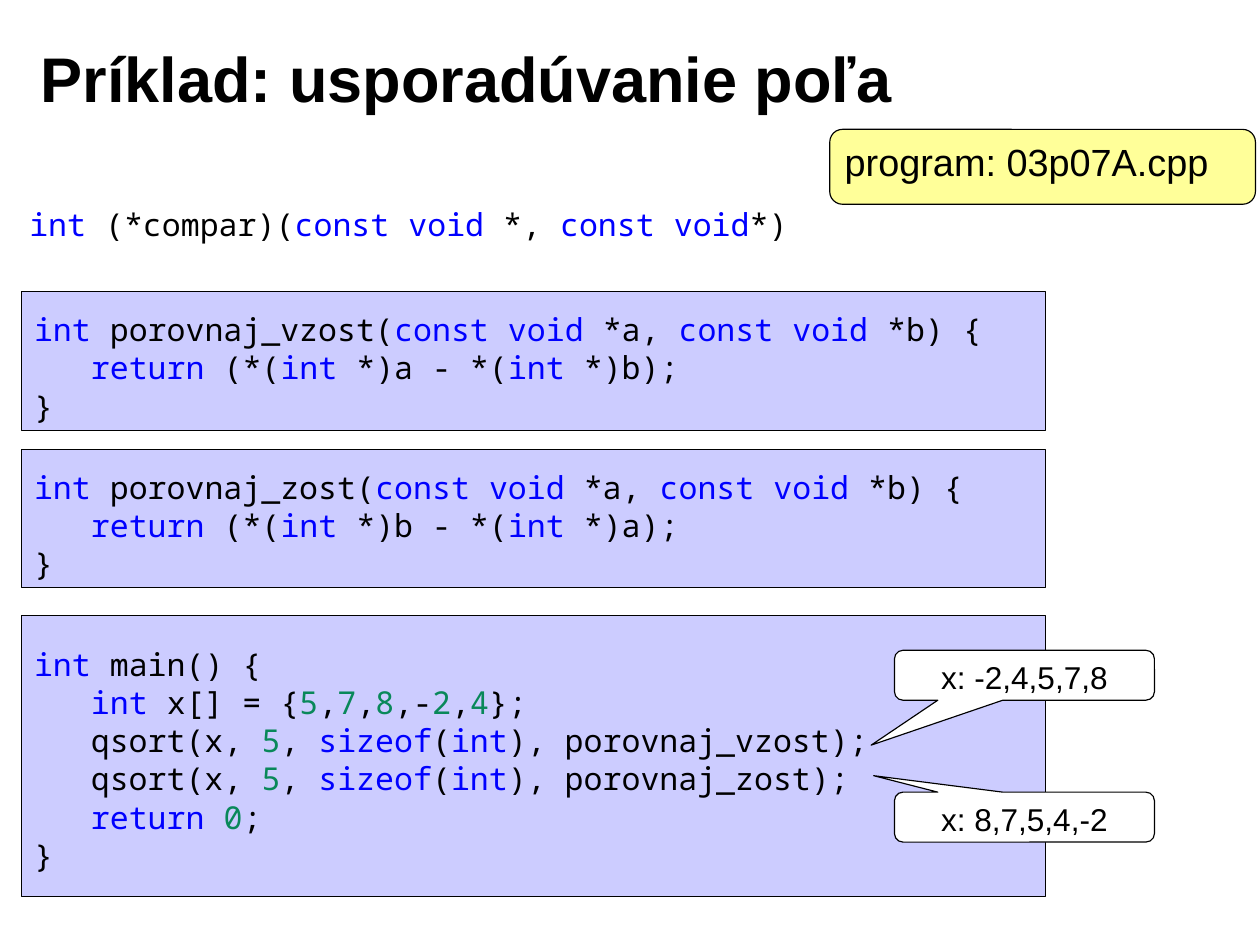
"""Build the slide on sorting an array with qsort and comparison functions."""
from itertools import groupby

from pptx import Presentation
from pptx.dml.color import RGBColor
from pptx.enum.shapes import MSO_SHAPE
from pptx.enum.text import MSO_ANCHOR, PP_ALIGN
from pptx.util import Inches, Pt

BLACK = RGBColor(0x00, 0x00, 0x00)
WHITE = RGBColor(0xFF, 0xFF, 0xFF)
BLUE = RGBColor(0x00, 0x00, 0xFF)
GREEN = RGBColor(0x09, 0x88, 0x5A)
LAVENDER = RGBColor(0xCC, 0xCC, 0xFF)
YELLOW = RGBColor(0xFF, 0xFF, 0x99)
KEYWORDS = {"int", "const", "void", "return", "sizeof"}

prs = Presentation()
prs.slide_width, prs.slide_height = Inches(11.1), Inches(8.3)
s = prs.slides.add_slide(prs.slide_layouts[6])


def add_box(kind, box, fill, adjustments=()):
    sp = s.shapes.add_shape(kind, *map(Inches, box))
    sp.shadow.inherit = False
    sp.fill.solid()
    sp.fill.fore_color.rgb = fill
    sp.line.color.rgb = BLACK
    sp.line.width = Pt(0.75)
    for i, value in enumerate(adjustments):
        sp.adjustments[i] = value
    return sp


def add_text(sp, text, size, font="Arial", align=PP_ALIGN.LEFT, bold=False,
             anchor=MSO_ANCHOR.TOP, inset=(0.1, 0.05), spacing=None):
    tf = sp.text_frame
    x, y = map(Inches, inset)
    frame = {"word_wrap": True, "vertical_anchor": anchor, "margin_left": x,
             "margin_right": x, "margin_top": y, "margin_bottom": y}
    for name, value in frame.items():
        setattr(tf, name, value)
    for i, line in enumerate(text.split("\n")):
        p = tf.add_paragraph() if i else tf.paragraphs[0]
        p.alignment = align
        p.line_spacing = spacing
        words = [line]
        if font != "Arial":
            words = ["".join(g) for _, g in
                     groupby(line, lambda c: c.isalnum() or c == "_")]
        for word in words:
            r = p.add_run()
            r.text = word
            for name, value in {"name": font, "size": Pt(size), "bold": bold}.items():
                setattr(r.font, name, value)
            r.font.color.rgb = (BLUE if word in KEYWORDS else
                                GREEN if word.isdigit() else BLACK)


code = {"size": 20, "font": "Noto Sans Mono", "spacing": Pt(24.2)}

title = s.shapes.add_textbox(*map(Inches, (0.25, 0.17, 8.92, 1.02)))
add_text(title, "Príklad: usporadúvanie poľa", 40, bold=True,
         anchor=MSO_ANCHOR.MIDDLE, inset=(0.11, 0.06))

prototype = s.shapes.add_textbox(*map(Inches, (0.16, 1.75, 8.5, 0.44)))
add_text(prototype, "int (*compar)(const void *, const void*)", **code)

MAIN = """int main() {
   int x[] = {5,7,8,-2,4};
   qsort(x, 5, sizeof(int), porovnaj_vzost);
   qsort(x, 5, sizeof(int), porovnaj_zost);
   return 0;
}"""
DESCENDING = """int porovnaj_zost(const void *a, const void *b) {
   return (*(int *)b - *(int *)a);
}"""
ASCENDING = """int porovnaj_vzost(const void *a, const void *b) {
   return (*(int *)a - *(int *)b);
}"""

for top, height, offset, text_height, text in (
        (5.42, 2.48, 0.2, 2.13, MAIN),
        (3.96, 1.22, 0.1, 1.12, DESCENDING),
        (2.57, 1.22, 0.1, 1.12, ASCENDING)):
    add_box(MSO_SHAPE.RECTANGLE, (0.19, top, 9.02, height), LAVENDER)
    listing = s.shapes.add_textbox(
        *map(Inches, (0.19, top + offset, 9.02, text_height)))
    add_text(listing, text, inset=(0.11, 0.06), **code)

for top, tip, text in ((5.73, (-0.59, 1.4), "x: -2,4,5,7,8"),
                       (6.98, (-0.58, -0.83), "x: 8,7,5,4,-2")):
    callout = add_box(MSO_SHAPE.ROUNDED_RECTANGULAR_CALLOUT,
                      (7.88, top, 2.29, 0.44), WHITE, (*tip, 0.17))
    add_text(callout, text, 20, align=PP_ALIGN.CENTER)

program = add_box(MSO_SHAPE.ROUNDED_RECTANGLE, (7.31, 1.14, 3.75, 0.66), YELLOW, (0.17,))
add_text(program, "program: 03p07A.cpp", 24)

prs.save("out.pptx")
